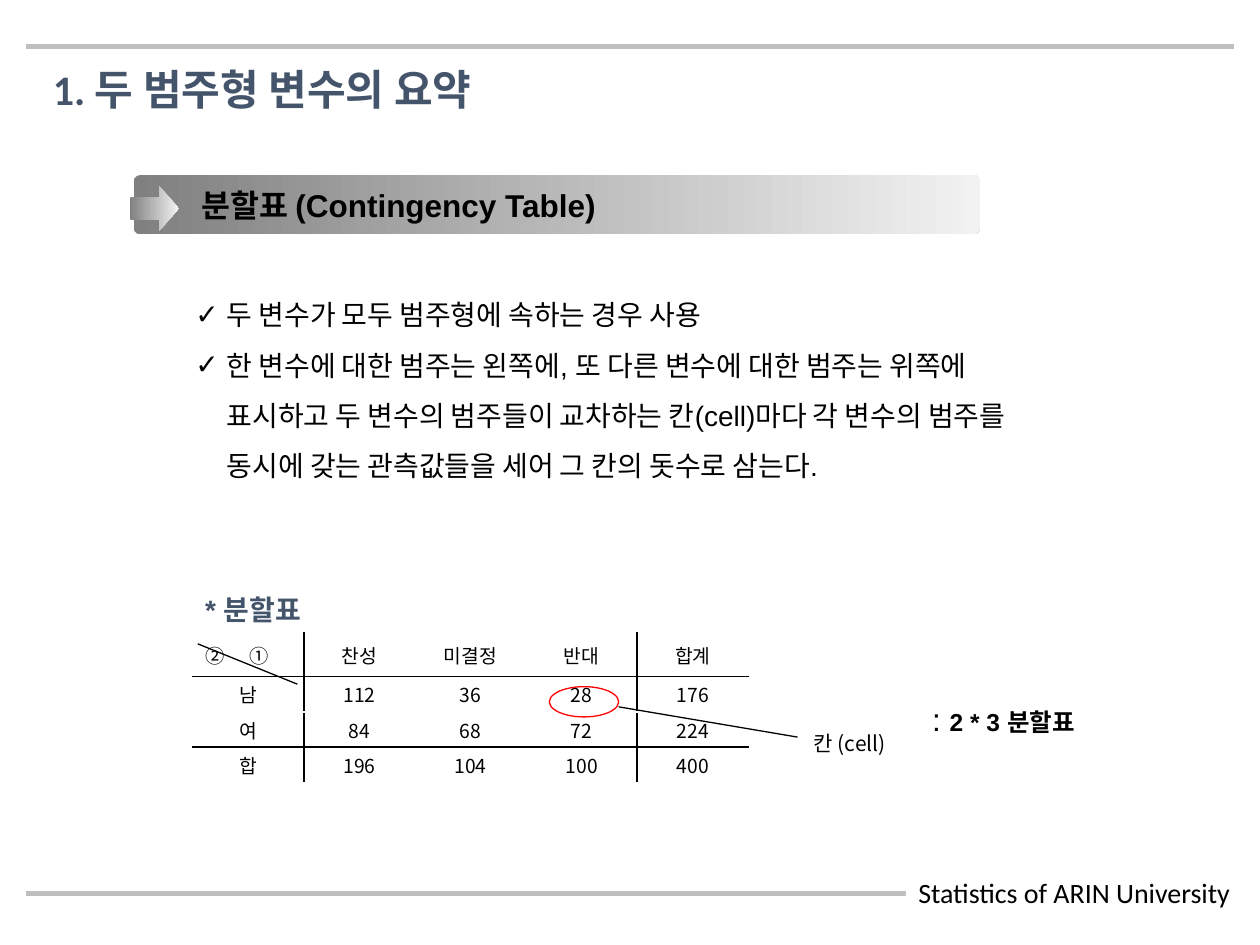
"""Build a slide that explains a contingency table of two categorical variables."""
from dataclasses import dataclass

from lxml import etree
from pptx import Presentation
from pptx import util as u
from pptx.dml.color import RGBColor
from pptx.enum import shapes, text
from pptx.oxml import ns

BLACK = RGBColor(0x00, 0x00, 0x00)
WHITE = RGBColor(0xFF, 0xFF, 0xFF)
SLATE = RGBColor(0x44, 0x54, 0x6A)
RULE_GRAY = RGBColor(0xBF, 0xBF, 0xBF)
DARK_GRAY = RGBColor(0x80, 0x80, 0x80)
PALE_GRAY = RGBColor(0xF2, 0xF2, 0xF2)
RED = RGBColor(0xFF, 0x00, 0x00)
KOREAN = "Noto Sans CJK KR"


@dataclass(frozen=True)
class Style:
    size: float
    font: str = "Arial"
    color: RGBColor = BLACK
    bold: bool = False


@dataclass(frozen=True)
class Box:
    left: float
    top: float
    width: float
    height: float

    def lengths(self) -> tuple:
        return tuple(u.Inches(n) for n in (self.left, self.top, self.width, self.height))


@dataclass(frozen=True)
class Label:
    box: Box
    runs: tuple
    wrap: bool = True


@dataclass(frozen=True)
class Line:
    start: tuple
    end: tuple
    width: float = 0.75
    color: RGBColor = BLACK


TITLE = Label(Box(0.32, 0.45, 3.79, 0.5),
              (("1. 두 범주형 변수의 요약", Style(24, "Calibri", SLATE, True)),), False)
BODY_BOX = Box(1.45, 2.18, 7.58, 1.72)
BODY = (
    ("✓", "두 변수가 모두 범주형에 속하는 경우 사용"),
    ("✓", "한 변수에 대한 범주는 왼쪽에, 또 다른 변수에 대한 범주는 위쪽에"),
    ("", "표시하고 두 변수의 범주들이 교차하는 칸(cell)마다 각 변수의 범주를"),
    ("", "동시에 갖는 관측값들을 세어 그 칸의 돗수로 삼는다."),
)
LABELS = (
    Label(Box(1.5, 1.43, 6.2, 0.4),
          (("분할표 (Contingency Table)", Style(18, bold=True)),)),
    Label(Box(6.36, 5.75, 1.18, 0.3), (("칸 (cell)", Style(12, KOREAN)),)),
    Label(Box(7.3, 5.51, 1.81, 0.4),
          ((": ", Style(18)), ("2 * 3 분할표", Style(14, bold=True)))),
    Label(Box(1.53, 4.65, 1.33, 0.37),
          (("* 분할표", Style(16, color=SLATE, bold=True)),)),
)
FOOTER = Label(Box(7.19, 6.9, 2.73, 0.37),
               (("Statistics of ARIN University", Style(16, "Calibri")),), False)
RULES = tuple(Line((0.21, y), (9.79, y), 3, RULE_GRAY) for y in (0.37, 7.09))
POINTERS = (Line((1.57, 5.11), (2.36, 5.43)), Line((4.91, 5.61), (6.33, 5.85)))
COUNTS = (
    ("②\t①", "찬성", "미결정", "반대", "합계"),
    ("남", "112", "36", "28", "176"),
    ("여", "84", "68", "72", "224"),
    ("합", "196", "104", "100", "400"),
)
TABLE_BOX = Box(1.53, 5.02, 4.41, 1.19)
ROW_HEIGHTS = (0.35, 0.28, 0.28, 0.28)
RULED_COLUMNS = (0, 3)
RULED_ROWS = (0, 2)


def add_run(paragraph, words: str, style: Style) -> None:
    run = paragraph.add_run()
    run.text = words
    font = run.font
    font.size, font.bold, font.name = u.Pt(style.size), style.bold, style.font
    font.color.rgb = style.color
    east_asian = etree.SubElement(run._r.get_or_add_rPr(), ns.qn("a:ea"))
    east_asian.set("typeface", KOREAN)


def hang(paragraph, margin: float, indent: float):
    properties = paragraph._p.get_or_add_pPr()
    properties.set("marL", str(u.Inches(margin)))
    properties.set("indent", str(u.Inches(indent)))
    return properties


def place(shape, box: Box) -> None:
    shape.left, shape.top, shape.width, shape.height = box.lengths()


def write_label(shape, label: Label) -> None:
    frame = shape.text_frame
    frame.auto_size = text.MSO_AUTO_SIZE.NONE
    frame.word_wrap = label.wrap
    paragraph = frame.paragraphs[0]
    paragraph.alignment = text.PP_ALIGN.LEFT
    for words, style in label.runs:
        add_run(paragraph, words, style)


def add_label(slide, label: Label):
    shape = slide.shapes.add_textbox(*label.box.lengths())
    write_label(shape, label)
    return shape


def write_body(shape) -> None:
    place(shape, BODY_BOX)
    frame = shape.text_frame
    frame.auto_size = text.MSO_AUTO_SIZE.NONE
    for index, (mark, words) in enumerate(BODY):
        paragraph = frame.add_paragraph() if index else frame.paragraphs[0]
        paragraph.line_spacing = 1.5
        paragraph.space_before = u.Pt(0)
        properties = hang(paragraph, 0.25, -0.25 if mark else 0)
        bullet = etree.SubElement(properties, ns.qn("a:buChar" if mark else "a:buNone"))
        if mark:
            bullet.set("char", mark)
        add_run(paragraph, words, Style(16))


def add_line(slide, line: Line) -> None:
    points = [u.Inches(n) for n in (*line.start, *line.end)]
    connector = slide.shapes.add_connector(shapes.MSO_CONNECTOR.STRAIGHT, *points)
    connector.line.color.rgb = line.color
    connector.line.width = u.Pt(line.width)
    etree.SubElement(connector._element.spPr, ns.qn("a:effectLst"))


def add_plain_shape(slide, kind, box: Box):
    shape = slide.shapes.add_shape(kind, *box.lengths())
    shape.shadow.inherit = False
    return shape


def add_gradient_shape(slide, kind, box: Box, adjustments: tuple) -> None:
    shape = add_plain_shape(slide, kind, box)
    for index, value in enumerate(adjustments):
        shape.adjustments[index] = value
    shape.line.fill.background()
    shape.fill.gradient()
    shape.fill.gradient_angle = 0
    for stop, color in zip(shape.fill.gradient_stops, (DARK_GRAY, PALE_GRAY)):
        stop.color.rgb = color


def add_border(cell, side: str) -> None:
    border = etree.SubElement(cell._tc.get_or_add_tcPr(), ns.qn(f"a:{side}"))
    border.set("w", str(u.Pt(1)))
    fill = etree.SubElement(border, ns.qn("a:solidFill"))
    etree.SubElement(fill, ns.qn("a:srgbClr")).set("val", str(BLACK))


def add_counts(slide) -> None:
    columns = len(COUNTS[0])
    table = slide.shapes.add_table(len(COUNTS), columns, *TABLE_BOX.lengths()).table
    table.first_row = table.horz_banding = False
    for column in table.columns:
        column.width = u.Inches(TABLE_BOX.width / columns)
    for y, (row, height) in enumerate(zip(COUNTS, ROW_HEIGHTS)):
        table.rows[y].height = u.Inches(height)
        for x, words in enumerate(row):
            cell = table.cell(y, x)
            cell.margin_top = cell.margin_bottom = u.Inches(0.02)
            cell.vertical_anchor = text.MSO_ANCHOR.MIDDLE
            sides = (("lnL", x - 1 in RULED_COLUMNS), ("lnR", x in RULED_COLUMNS),
                     ("lnT", y - 1 in RULED_ROWS), ("lnB", y in RULED_ROWS))
            for side, ruled in sides:
                if ruled:
                    add_border(cell, side)
            cell.fill.background()
            paragraph = cell.text_frame.paragraphs[0]
            if x == y == 0:
                hang(paragraph, 0.35, -0.35)
            else:
                paragraph.alignment = text.PP_ALIGN.CENTER
            add_run(paragraph, words, Style(11, KOREAN))


def main() -> None:
    presentation = Presentation()
    presentation.slide_width, presentation.slide_height = u.Inches(10), u.Inches(7.5)
    slide = presentation.slides.add_slide(presentation.slide_layouts[1])
    place(slide.shapes.title, TITLE.box)
    write_label(slide.shapes.title, TITLE)
    write_body(slide.placeholders[1])
    for rule in RULES:
        add_line(slide, rule)
    footer = add_label(slide, FOOTER)
    footer.fill.solid()
    footer.fill.fore_color.rgb = WHITE
    kinds = shapes.MSO_SHAPE
    add_gradient_shape(slide, kinds.ROUNDED_RECTANGLE, Box(1.06, 1.39, 6.72, 0.47), (0.11,))
    add_gradient_shape(slide, kinds.RIGHT_ARROW, Box(1.03, 1.48, 0.39, 0.35), (0.5, 0.44))
    add_counts(slide)
    ring = add_plain_shape(slide, kinds.OVAL, Box(4.36, 5.45, 0.55, 0.24))
    ring.fill.background()
    ring.line.color.rgb = RED
    ring.line.width = u.Pt(0.75)
    for pointer in POINTERS:
        add_line(slide, pointer)
    for label in LABELS:
        add_label(slide, label)
    presentation.save("out.pptx")


if __name__ == "__main__":
    main()
